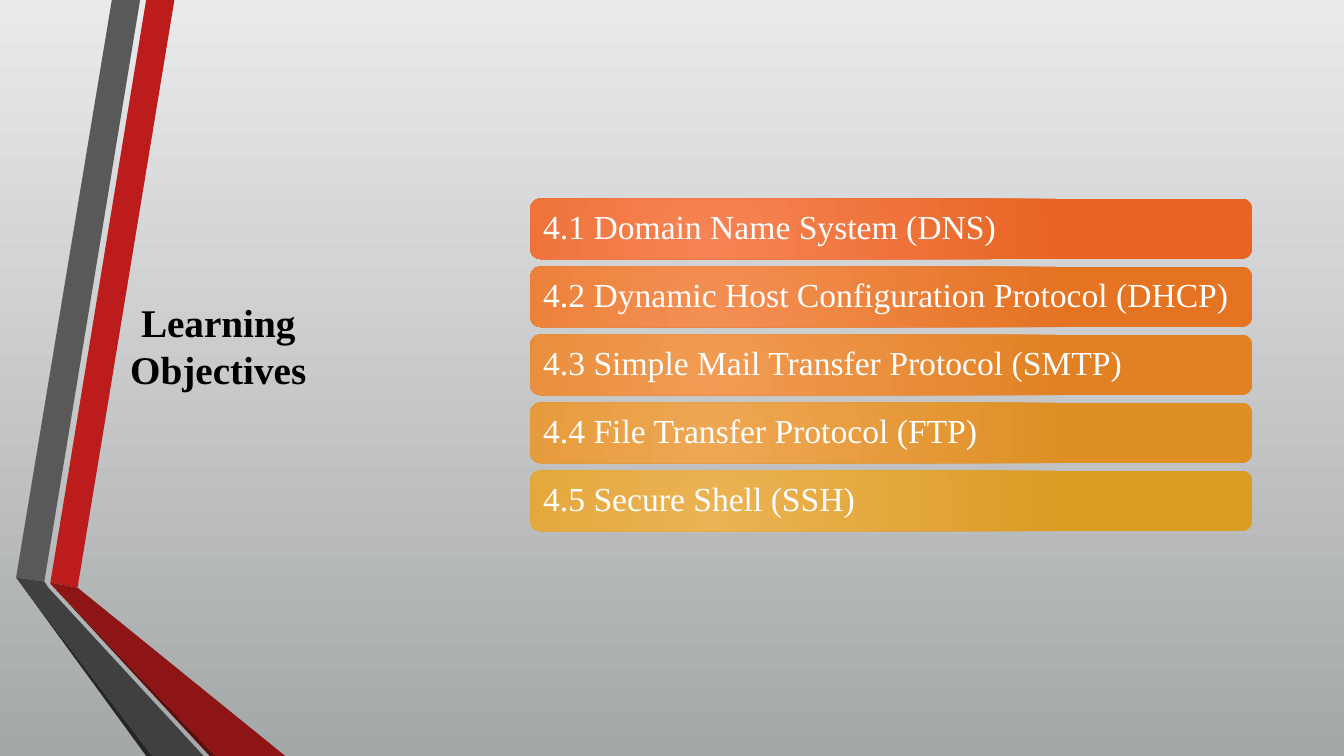
from lxml.etree import SubElement
from pptx import Presentation
from pptx.dml.color import RGBColor
from pptx.enum.shapes import MSO_SHAPE
from pptx.enum.text import MSO_ANCHOR, MSO_AUTO_SIZE, PP_ALIGN
from pptx.oxml.ns import qn
from pptx.util import Inches, Pt

FONT = "Times New Roman"

RIBBONS = [
    ("BC1C1C", [(0.5, 5.78), (0.77, 5.83), (1.73, 0), (1.45, 0)]),
    ("595959", [(1.39, 0), (1.11, 0), (0.16, 5.73), (0.44, 5.77)]),
    ("262626", [(0.16, 5.73), (1.45, 7.5), (1.51, 7.5)]),
    ("5E0E0E", [(0.5, 5.79), (2.08, 7.5), (2.14, 7.5)]),
    ("8D1515", [(0.5, 5.79), (2.14, 7.5), (2.83, 7.5), (0.77, 5.83), (0.5, 5.78)]),
    ("404040", [(2.02, 7.5), (0.48, 5.83), (0.44, 5.77), (0.16, 5.73), (1.51, 7.5)]),
]

OBJECTIVES = [
    ("4.1 Domain Name System (DNS)", "F78354", "E76422"),
    ("4.2 Dynamic Host Configuration Protocol (DHCP)", "F48F54", "E47322"),
    ("4.3 Simple Mail Transfer Protocol (SMTP)", "F19B54", "E18123"),
    ("4.4 File Transfer Protocol (FTP)", "EEA754", "DE8F23"),
    ("4.5 Secure Shell (SSH)", "ECB354", "DB9C24"),
]
BAR_TOP = 1.97
BAR_PITCH = 0.675


def color(value):
    return RGBColor.from_string(value)


def set_gradient(fill, start, end):
    fill.gradient()
    for stop, value in zip(fill.gradient_stops, (start, end)):
        stop.color.rgb = color(value)


def make_radial(shape):
    linear = shape.element.spPr.find(qn("a:gradFill")).find(qn("a:lin"))
    gradient = linear.getparent()
    gradient.remove(linear)
    radial = SubElement(gradient, qn("a:path"), path="circle")
    SubElement(radial, qn("a:fillToRect"), l="50000", t="100000", r="100000", b="50000")


def format_text(frame, size, value, align, spacing, bold=False):
    frame.word_wrap = True
    frame.auto_size = MSO_AUTO_SIZE.NONE
    frame.vertical_anchor = MSO_ANCHOR.MIDDLE
    for para in frame.paragraphs:
        para.alignment = align
        para.line_spacing = spacing
        for span in para.runs:
            span.font.name = FONT
            span.font.size = Pt(size)
            span.font.bold = bold
            span.font.color.rgb = color(value)


def add_ribbon(page, value, points):
    corners = [(Inches(x), Inches(y)) for x, y in points]
    builder = page.shapes.build_freeform(*corners[0])
    builder.add_line_segments(corners[1:], close=True)
    ribbon = builder.convert_to_shape()
    ribbon.shadow.inherit = False
    ribbon.fill.solid()
    ribbon.fill.fore_color.rgb = color(value)
    ribbon.line.fill.background()


def add_title(page, text):
    title = page.shapes.title
    page.shapes.element.append(title.element)
    title.left, title.top = Inches(0.75), Inches(0.7)
    title.width, title.height = Inches(2.83), Inches(5.46)
    title.text_frame.text = text
    format_text(title.text_frame, 28, "000000", PP_ALIGN.CENTER, 1.0, bold=True)


def add_objective(page, top, text, start, end):
    bar = page.shapes.add_shape(
        MSO_SHAPE.ROUNDED_RECTANGLE, Inches(5.26), Inches(top), Inches(7.16), Inches(0.6)
    )
    bar.shadow.inherit = False
    bar.line.fill.background()
    set_gradient(bar.fill, start, end)
    make_radial(bar)
    frame = bar.text_frame
    frame.text = text
    frame.margin_left = frame.margin_right = Inches(0.1)
    format_text(frame, 24, "FFFFFF", PP_ALIGN.LEFT, 0.9)


def main():
    deck = Presentation()
    deck.slide_width, deck.slide_height = Inches(13.33), Inches(7.5)
    page = deck.slides.add_slide(deck.slide_layouts.get_by_name("Title Only"))
    set_gradient(page.background.fill, "E9EAEB", "A5A8A9")
    page.background.fill.gradient_angle = 270
    for value, points in RIBBONS:
        add_ribbon(page, value, points)
    add_title(page, "Learning Objectives")
    for index, (text, start, end) in enumerate(OBJECTIVES):
        add_objective(page, BAR_TOP + index * BAR_PITCH, text, start, end)
    deck.save("out.pptx")


if __name__ == "__main__":
    main()
